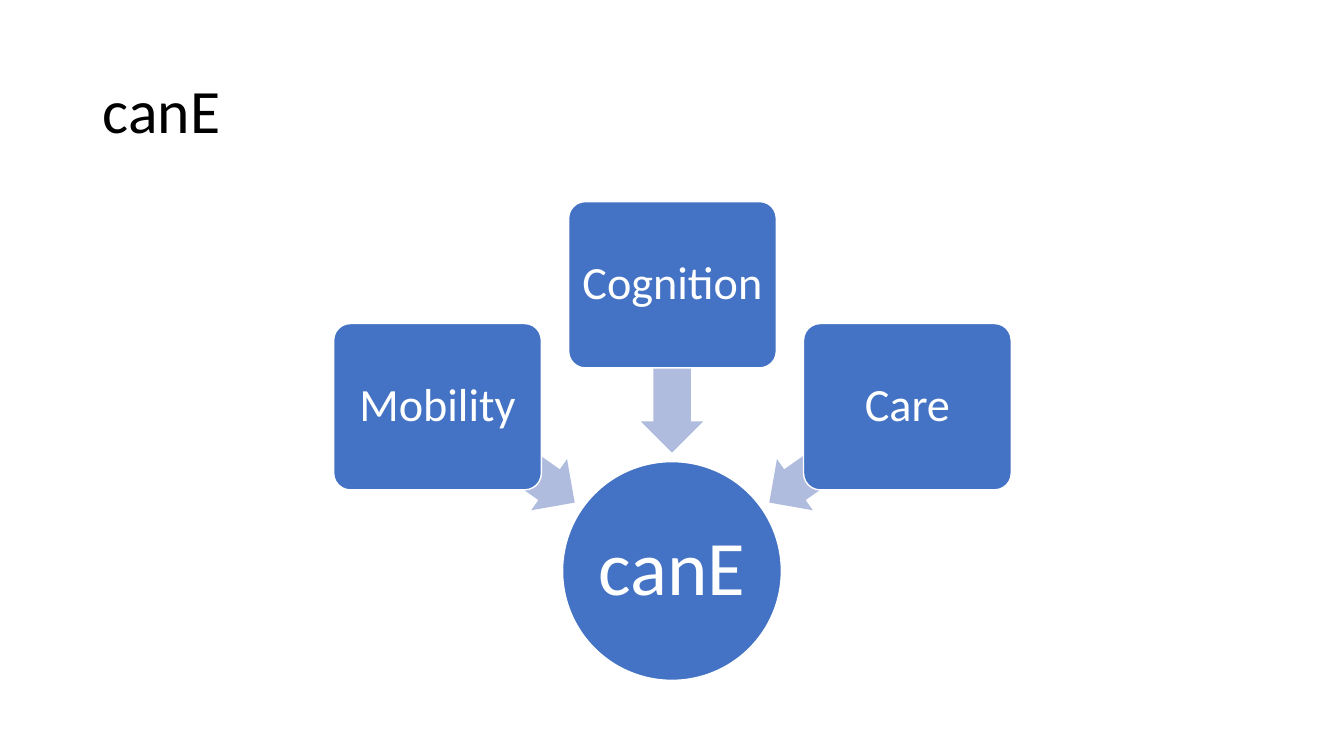
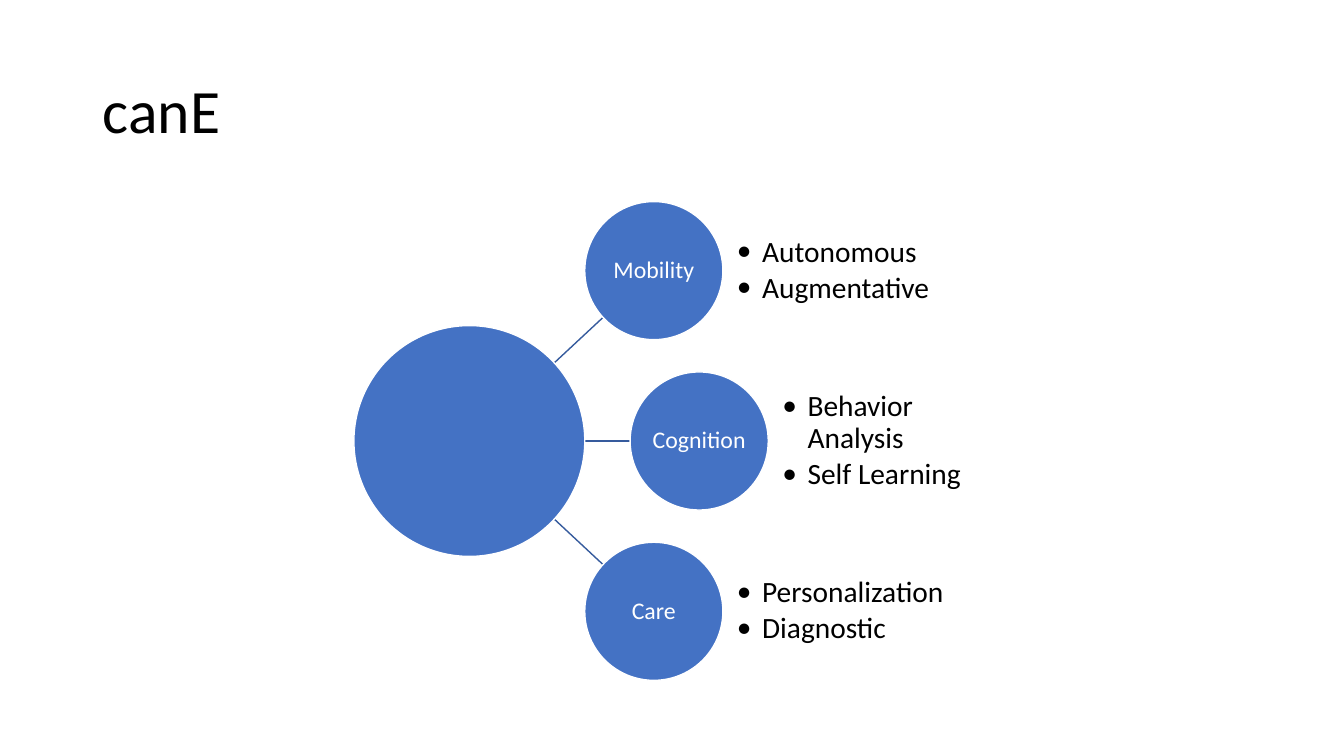
from lxml.etree import SubElement
from pptx import Presentation
from pptx.dml.color import RGBColor
from pptx.enum.shapes import MSO_CONNECTOR, MSO_SHAPE
from pptx.enum.text import MSO_ANCHOR, PP_ALIGN
from pptx.oxml.ns import qn
from pptx.util import Inches, Pt

FONT = "Calibri"
BLUE = RGBColor(0x44, 0x72, 0xC4)
DARK_BLUE = RGBColor(0x36, 0x5B, 0x9D)
PALE_BLUE = RGBColor(0xB0, 0xBC, 0xDE)
WHITE = RGBColor(0xFF, 0xFF, 0xFF)
BLACK = RGBColor(0x00, 0x00, 0x00)
TITLE = "canE"


def format_paragraph(paragraph, size, color, alignment):
    """Apply the shared font and line spacing to a paragraph."""
    paragraph.alignment = alignment
    paragraph.line_spacing = 0.9
    for run in paragraph.runs:
        run.font.name = FONT
        run.font.size = Pt(size)
        run.font.color.rgb = color


def set_margins(text_frame, margin):
    """Wrap the text, centre it vertically and set four equal margins."""
    text_frame.word_wrap = True
    text_frame.vertical_anchor = MSO_ANCHOR.MIDDLE
    text_frame.margin_left = text_frame.margin_right = Inches(margin)
    text_frame.margin_top = text_frame.margin_bottom = Inches(margin)


def add_titled_slide(presentation):
    """Add a title-only slide carrying the shared title."""
    slide = presentation.slides.add_slide(presentation.slide_layouts[5])
    title = slide.shapes.title
    title.left, title.top = Inches(0.92), Inches(0.4)
    title.width, title.height = Inches(11.5), Inches(1.45)
    title.text_frame.text = TITLE
    title.text_frame.vertical_anchor = MSO_ANCHOR.MIDDLE
    format_paragraph(title.text_frame.paragraphs[0], 44, BLACK, PP_ALIGN.LEFT)
    return slide


def add_node(slide, kind, left, top, width, height, text="", size=17, margin=0.01):
    """Add a blue shape with a white outline and an optional label."""
    shape = slide.shapes.add_shape(
        kind, Inches(left), Inches(top), Inches(width), Inches(height))
    shape.shadow.inherit = False
    shape.fill.solid()
    shape.fill.fore_color.rgb = BLUE
    shape.line.color.rgb = WHITE
    shape.line.width = Pt(1)
    if text:
        shape.text_frame.text = text
        set_margins(shape.text_frame, margin)
        format_paragraph(shape.text_frame.paragraphs[0], size, WHITE, PP_ALIGN.CENTER)
    return shape


def add_arrow(slide, left, top, rotation):
    """Add a pale block arrow turned by the given angle."""
    arrow = slide.shapes.add_shape(
        MSO_SHAPE.LEFT_ARROW, Inches(left), Inches(top), Inches(1.66), Inches(0.62))
    arrow.adjustments[0] = 0.6
    arrow.adjustments[1] = 0.5
    arrow.rotation = rotation
    arrow.shadow.inherit = False
    arrow.fill.solid()
    arrow.fill.fore_color.rgb = PALE_BLUE
    arrow.line.fill.background()


def add_spoke(slide, start_x, start_y, end_x, end_y):
    """Add a thin line between the hub and a branch."""
    spoke = slide.shapes.add_connector(
        MSO_CONNECTOR.STRAIGHT,
        Inches(start_x), Inches(start_y), Inches(end_x), Inches(end_y))
    spoke.line.color.rgb = DARK_BLUE
    spoke.line.width = Pt(1)
    SubElement(spoke._element.spPr, qn("a:effectLst"))


def add_bullets(slide, left, top, width, height, items):
    """Add a vertically centred bullet list."""
    box = slide.shapes.add_textbox(
        Inches(left), Inches(top), Inches(width), Inches(height))
    set_margins(box.text_frame, 0)
    box.text_frame.text = "\n".join(items)
    for paragraph in box.text_frame.paragraphs:
        format_paragraph(paragraph, 21, BLACK, PP_ALIGN.LEFT)
        paragraph.level = 1
        paragraph.space_after = Pt(3)
        properties = paragraph._p.get_or_add_pPr()
        properties.set("marL", str(Inches(0.25)))
        properties.set("indent", str(Inches(-0.25)))
        SubElement(properties, qn("a:buFont")).set("typeface", FONT)
        SubElement(properties, qn("a:buChar")).set("char", "•")


def build_converging_slide(presentation):
    """Three cards whose arrows point at one circle."""
    slide = add_titled_slide(presentation)
    add_node(slide, MSO_SHAPE.OVAL, 5.58, 4.58, 2.17, 2.17, TITLE, 55)
    cards = [("Mobility", 3.21, 4.2), ("Cognition", 2, 3.35), ("Care", 3.21, 4.2)]
    for index, (label, card_top, arrow_top) in enumerate(cards):
        add_arrow(slide, 4.19 + 1.645 * index, arrow_top, 215 + 55 * index)
        card = add_node(slide, MSO_SHAPE.ROUNDED_RECTANGLE, 3.31 + 2.33 * index,
                        card_top, 2.06, 1.65, label, 33, 0.07)
        card.adjustments[0] = 0.1


def build_radial_slide(presentation):
    """A hub circle with three branches and their bullet lists."""
    slide = add_titled_slide(presentation)
    middle, diameter = 4.375, 1.37
    branches = [
        ("Mobility", 5.8, ["Autonomous", "Augmentative"]),
        ("Cognition", 6.25, ["Behavior Analysis", "Self Learning"]),
        ("Care", 5.8, ["Personalization", "Diagnostic"]),
    ]
    for side, end_x in ((1, 5.98), (0, 6.25), (-1, 5.98)):
        add_spoke(slide, 5.46, middle + 0.74 * side, end_x, middle + 1.225 * side)
    add_node(slide, MSO_SHAPE.OVAL, 3.51, 3.23, 2.29, 2.29)
    for index, (label, left, items) in enumerate(branches):
        top = 2 + 1.69 * index
        add_node(slide, MSO_SHAPE.OVAL, left, top, diameter, diameter, label)
        add_bullets(slide, left + 1.51, top, 2.06, diameter, items)


def main():
    """Build and save the presentation."""
    presentation = Presentation()
    presentation.slide_width = Inches(13.33)
    presentation.slide_height = Inches(7.5)
    build_converging_slide(presentation)
    build_radial_slide(presentation)
    presentation.save("out.pptx")


main()
